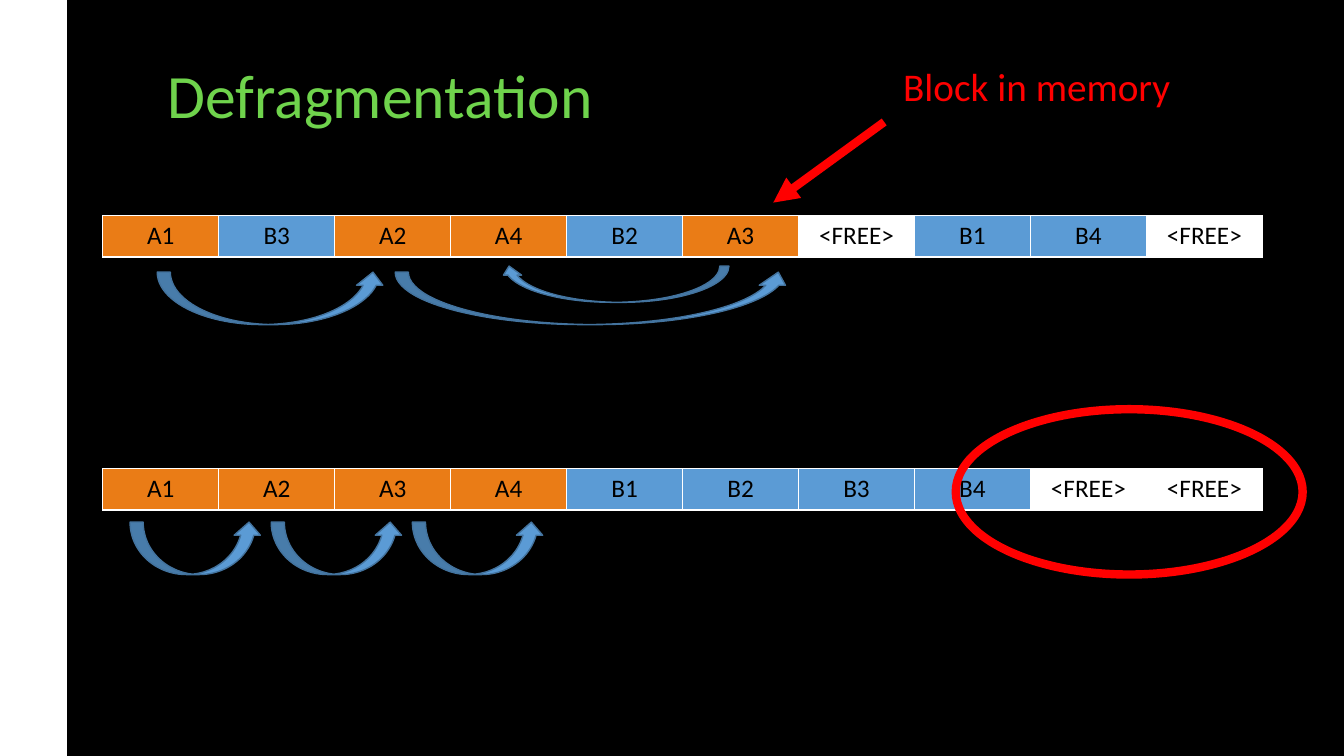
import copy

import pptx
import pptx.dml.color
import pptx.enum.dml
import pptx.enum.shapes
import pptx.enum.text
import pptx.oxml
import pptx.oxml.ns
import pptx.util

Inches = pptx.util.Inches
RGBColor = pptx.dml.color.RGBColor
Shapes = pptx.enum.shapes.MSO_SHAPE

WHITE = RGBColor(0xFF, 0xFF, 0xFF)
BLACK = RGBColor(0x00, 0x00, 0x00)
GREEN = RGBColor(0x6F, 0xD3, 0x4C)
RED = RGBColor(0xFF, 0x00, 0x00)
ORANGE = RGBColor(0xEA, 0x7C, 0x16)
BLUE = RGBColor(0x5B, 0x9B, 0xD5)
DARK_BLUE = RGBColor(0x43, 0x73, 0x9E)

FILE_COLORS = {"A": ORANGE, "B": BLUE, "<": WHITE}
BLOCK_WIDTH, BLOCK_HEIGHT = 1.15, 0.41
FRAGMENTED = ["A1", "B3", "A2", "A4", "B2", "A3", "<FREE>", "B1", "B4", "<FREE>"]
DEFRAGMENTED = ["A1", "A2", "A3", "A4", "B1", "B2", "B3", "B4", "<FREE>", "<FREE>"]


def format_text(paragraph, text, size, color):
    paragraph.text = text
    values = {"name": "Calibri", "size": pptx.util.Pt(size), "bold": False}
    for name, value in values.items():
        setattr(paragraph.font, name, value)
    paragraph.font.color.rgb = color


def format_line(line, color, width):
    line.color.rgb = color
    line.width = pptx.util.Pt(width)


def paint_background(slide):
    """White strip on the left, black for the rest."""
    fill = slide.background.fill
    fill.gradient()
    fill.gradient_angle = 0
    stop_list = slide.element.find(".//" + pptx.oxml.ns.qn("a:gsLst"))
    stop_list.append(copy.deepcopy(stop_list[-1]))
    stop_list.append(copy.deepcopy(stop_list[-1]))
    stops = [(0, WHITE), (0.05, WHITE), (0.05, BLACK), (1, BLACK)]
    for stop, (position, color) in zip(fill.gradient_stops, stops):
        stop.position = position
        stop.color.rgb = color


def add_title(slide, left, top, width, height):
    title = slide.shapes.title
    box = {"left": left, "top": top, "width": width, "height": height}
    for name, value in box.items():
        setattr(title, name, Inches(value))
    title.text_frame.vertical_anchor = pptx.enum.text.MSO_ANCHOR.MIDDLE
    paragraph = title.text_frame.paragraphs[0]
    format_text(paragraph, "Defragmentation", 44, GREEN)
    paragraph.alignment = pptx.enum.text.PP_ALIGN.LEFT
    paragraph.line_spacing = 0.9


def add_memory(slide, left, top, blocks):
    """One row of memory blocks, coloured by the file they belong to."""
    table = slide.shapes.add_table(
        1, len(blocks), Inches(left), Inches(top),
        Inches(BLOCK_WIDTH * len(blocks)), Inches(BLOCK_HEIGHT)).table
    for cell, block in zip(table.rows[0].cells, blocks):
        cell.fill.solid()
        cell.fill.fore_color.rgb = FILE_COLORS[block[0]]
        paragraph = cell.text_frame.paragraphs[0]
        format_text(paragraph, block, 18, BLACK)
        paragraph.alignment = pptx.enum.text.PP_ALIGN.CENTER


def add_jump(slide, left, top, width, height, backward=False):
    """Curved arrow from one block of a file to the next."""
    jump = slide.shapes.add_shape(
        Shapes.CURVED_UP_ARROW,
        Inches(left), Inches(top), Inches(width), Inches(height))
    jump.shadow.inherit = False
    jump.fill.solid()
    jump.fill.fore_color.rgb = BLUE
    format_line(jump.line, DARK_BLUE, 1)
    if backward:
        jump.element.spPr.xfrm.set("flipH", "1")


def add_fragmented_memory(slide, left, top):
    add_memory(slide, left, top, FRAGMENTED)
    add_jump(slide, left + 0.54, top + 0.56, 2.27, 0.52)
    add_jump(slide, left + 2.9, top + 0.56, 3.93, 0.52)
    add_jump(slide, left + 3.94, top + 0.5, 2.27, 0.36, backward=True)


def add_defragmented_memory(slide, left, top):
    add_memory(slide, left, top, DEFRAGMENTED)
    # Ring around the free space
    ring = slide.shapes.add_shape(
        Shapes.OVAL, Inches(left + 8.46), Inches(top - 0.59),
        Inches(3.44), Inches(1.64))
    ring.shadow.inherit = False
    ring.fill.background()
    format_line(ring.line, RED, 6)
    for index in range(3):
        add_jump(slide, left + 0.27 + 1.4 * index, top + 0.53, 1.31, 0.52)


def add_block_label(slide, left, top, width, height):
    # Arrow to the block
    arrow = slide.shapes.add_connector(
        pptx.enum.shapes.MSO_CONNECTOR.STRAIGHT,
        Inches(left - 0.09), Inches(top + 0.64),
        Inches(left - 1.19), Inches(top + 1.44))
    format_line(arrow.line, RED, 6)
    properties = arrow.element.spPr
    line = properties.find(pptx.oxml.ns.qn("a:ln"))
    pptx.oxml.ns.qn("a:tailEnd")
    line.append(line.makeelement(pptx.oxml.ns.qn("a:tailEnd"), {"type": "triangle"}))
    properties.append(properties.makeelement(pptx.oxml.ns.qn("a:effectLst"), {}))
    # Label
    label = slide.shapes.add_textbox(
        Inches(left), Inches(top), Inches(width), Inches(height))
    label.text_frame.word_wrap = True
    label.text_frame.auto_size = pptx.enum.text.MSO_AUTO_SIZE.SHAPE_TO_FIT_TEXT
    format_text(label.text_frame.paragraphs[0], "Block in memory", 28, RED)


def main():
    presentation = pptx.Presentation()
    presentation.slide_width = Inches(13.33)
    presentation.slide_height = Inches(7.5)
    slide = presentation.slides.add_slide(presentation.slide_layouts[5])
    paint_background(slide)
    add_title(slide, 1.56, 0.25, 11.5, 1.45)
    add_fragmented_memory(slide, 1.02, 2.14)
    add_defragmented_memory(slide, 1.02, 4.65)
    add_block_label(slide, 8.86, 0.57, 3.16, 0.57)
    presentation.save("out.pptx")


if __name__ == "__main__":
    main()
